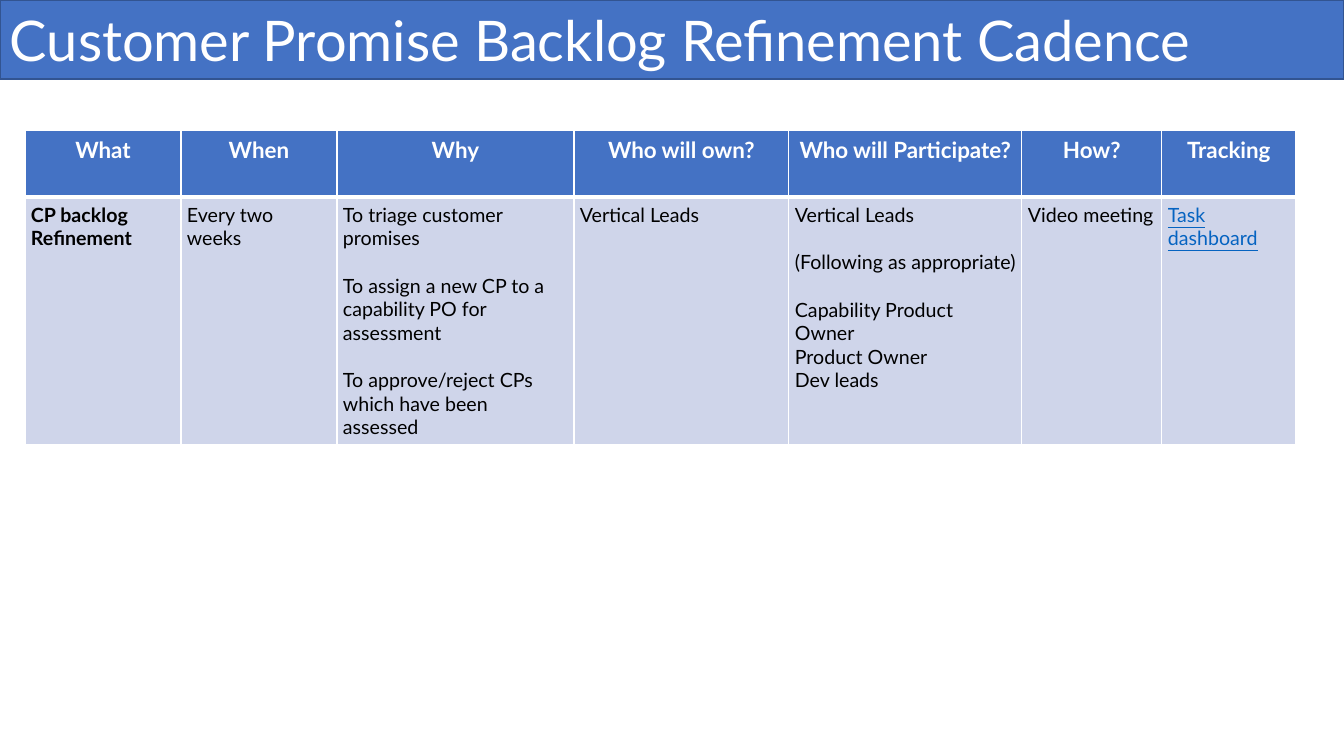
import pptx
import pptx.util
import pptx.dml.color
import pptx.enum.shapes
import pptx.enum.text
import pptx.oxml
import pptx.oxml.ns

TITLE = "Customer Promise Backlog Refinement Cadence"
# heading, column width in px, groups of lines in the body cell, font changes
COLUMNS = [
    ("What", 156, [["CP backlog Refinement"]], {"bold": True}),
    ("When", 156, [["Every two weeks"]], {}),
    ("Why", 237, [["To triage customer promises"],
                  ["To assign a new CP to a capability PO for assessment"],
                  ["To approve/reject CPs which have been assessed"]], {}),
    ("Who will own?", 215, [["Vertical Leads"]], {}),
    ("Who will Participate?", 233, [["Vertical Leads"],
                                    ["(Following as appropriate)"],
                                    ["Capability Product Owner", "Product Owner", "Dev leads"]], {}),
    ("How?", 140, [["Video meeting"]], {}),
    ("Tracking", 134, [["Task dashboard"]], {"underline": True, "color": "link"}),
]
COLORS = {"blue": "4472C4", "edge": "325491", "pale": "CFD5EA",
          "white": "FFFFFF", "black": "000000", "link": "0563C1"}
FONT = "Lato"
SLIDE = (1344, 756)
TITLE_HEIGHT = 79
TABLE_LEFT, TABLE_TOP = 25, 130
ROW_HEIGHTS = (67, 223)
CELL_MARGIN = 6
GROUP_GAP = 17
THIN, THICK = 1, 3


def px(length):
    return pptx.util.Emu(round(length * 914400 / 100.8))


def rgb(name):
    return pptx.dml.color.RGBColor.from_string(COLORS[name])


def add_text(para, text, color, size, **styles):
    span = para.add_run()
    span.text = text
    span.font.color.rgb = rgb(color)
    for name, value in {"name": FONT, "size": pptx.util.Pt(size), **styles}.items():
        setattr(span.font, name, value)


def format_cell(cell, fill, top, bottom):
    """Set margins, fill and white borders; top and bottom are widths in points."""
    for side in ("left", "right", "top", "bottom"):
        setattr(cell, "margin_" + side, px(CELL_MARGIN))
    cell.fill.solid()
    cell.fill.fore_color.rgb = rgb(fill)
    borders = [("L", THIN), ("R", THIN), ("T", top), ("B", bottom)]
    for place, (side, width) in enumerate(borders):
        border = pptx.oxml.parse_xml(
            f'<a:ln{side} {pptx.oxml.ns.nsdecls("a")} w="{pptx.util.Pt(width)}"><a:solidFill>'
            f'<a:srgbClr val="{COLORS["white"]}"/></a:solidFill></a:ln{side}>')
        cell._tc.get_or_add_tcPr().insert(place, border)


def add_title(page):
    bar = page.shapes.add_shape(
        pptx.enum.shapes.MSO_SHAPE.RECTANGLE, 0, 0, px(SLIDE[0]), px(TITLE_HEIGHT))
    bar.shadow.inherit = False
    bar.fill.solid()
    bar.fill.fore_color.rgb = rgb("blue")
    bar.line.color.rgb = rgb("edge")
    bar.line.width = pptx.util.Pt(1)
    bar.text_frame.vertical_anchor = pptx.enum.text.MSO_ANCHOR.MIDDLE
    para = bar.text_frame.paragraphs[0]
    para.alignment = pptx.enum.text.PP_ALIGN.LEFT
    add_text(para, TITLE, "white", 40)


def add_cadence_table(page):
    total = sum(width for _, width, _, _ in COLUMNS)
    table = page.shapes.add_table(
        len(ROW_HEIGHTS), len(COLUMNS), px(TABLE_LEFT), px(TABLE_TOP),
        px(total), px(sum(ROW_HEIGHTS))).table
    table.horz_banding = False
    for row, height in zip(table.rows, ROW_HEIGHTS):
        row.height = px(height)
    for index, (heading, width, groups, changes) in enumerate(COLUMNS):
        table.columns[index].width = px(width)
        head, body = table.cell(0, index), table.cell(1, index)
        format_cell(head, "blue", THIN, THICK)
        format_cell(body, "pale", THICK, THIN)
        para = head.text_frame.paragraphs[0]
        para.alignment = pptx.enum.text.PP_ALIGN.CENTER
        add_text(para, heading, "white", 16, bold=True)
        styles = {"color": "black", "size": 14, "bold": False, **changes}
        para = None
        for group in groups:
            for position, line in enumerate(group):
                if para is None:
                    para = body.text_frame.paragraphs[0]
                else:
                    para = body.text_frame.add_paragraph()
                    para.space_before = pptx.util.Pt(0 if position else GROUP_GAP)
                add_text(para, line, **styles)


def main():
    deck = pptx.Presentation()
    deck.slide_width, deck.slide_height = map(px, SLIDE)
    page = deck.slides.add_slide(deck.slide_layouts[6])
    add_title(page)
    add_cadence_table(page)
    deck.save("out.pptx")


if __name__ == "__main__":
    main()
